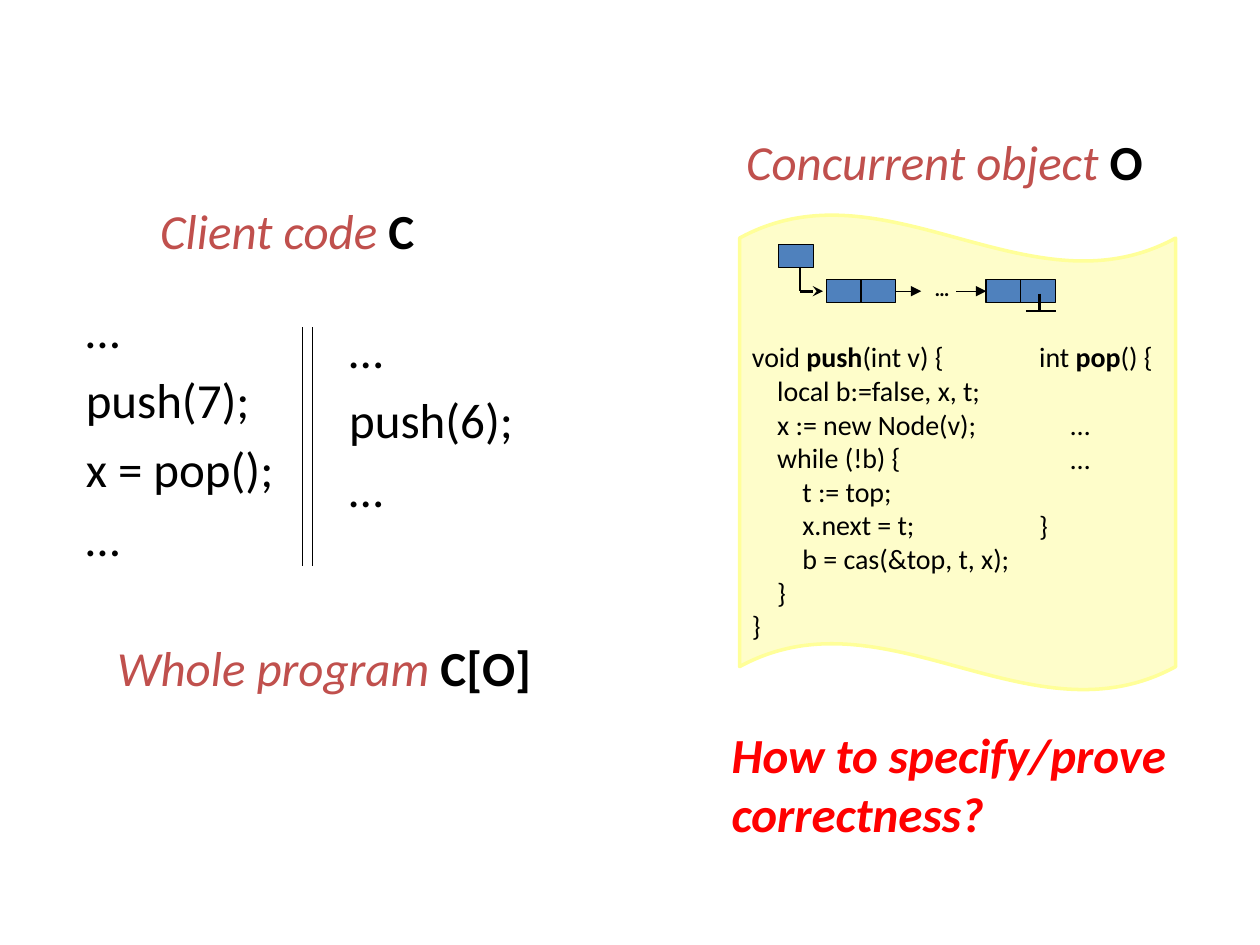
from dataclasses import dataclass

from lxml import etree
from pptx import Presentation
from pptx.dml.color import RGBColor
from pptx.enum.shapes import MSO_CONNECTOR, MSO_SHAPE
from pptx.enum.text import MSO_ANCHOR
from pptx.oxml.ns import qn
from pptx.util import Cm, Pt

RECT, WAVE = MSO_SHAPE.RECTANGLE, MSO_SHAPE.WAVE
STRAIGHT = MSO_CONNECTOR.STRAIGHT
TOP, MIDDLE = MSO_ANCHOR.TOP, MSO_ANCHOR.MIDDLE


@dataclass(frozen=True)
class Theme:
    font: str = "Calibri"
    ink: str = "000000"
    label: str = "C0504D"
    alert: str = "FF0000"
    paper: str = "FEFDCA"
    edge: str = "FFFF99"
    node: str = "4F81BD"
    large: int = 28
    code: int = 16
    small: int = 12


THEME = Theme()
CELL_W, CELL_H = 0.7, 0.46
LIST_Y = 5.64
MID_Y = LIST_Y + CELL_H / 2
CODE_LINE = 19.5

PUSH = [
    ["void ", "*push", "(int v) {"],
    ["    local b:=false, x, t;"],
    ["    x := new Node(v);"],
    ["    while (!b) {"],
    ["        t := top;"],
    ["        x.next = t;"],
    ["        b = cas(&top, t, x);"],
    ["    }"],
    ["}"],
]
POP = [["int ", "*pop", "() {"], ["     …"], ["     …"], ["}"]]


def style(run, size, color, bold=False, italic=False):
    font = run.font
    font.name, font.size = THEME.font, Pt(size)
    font.bold, font.italic = bold, italic
    font.color.rgb = RGBColor.from_string(color)


def add_box(slide, x, y, w, h, wrap=True):
    box = slide.shapes.add_textbox(Cm(x), Cm(y), Cm(w), Cm(h))
    box.text_frame.word_wrap = wrap
    return box.text_frame


def add_label(slide, x, y, w, h, words, name, anchor=MIDDLE, indent=0.08):
    """Put a red italic caption before the bold name of a program part."""
    frame = add_box(slide, x, y, w, h)
    frame.vertical_anchor = anchor
    if anchor == MIDDLE:
        frame.margin_top = 0
    para = frame.paragraphs[0]
    para._p.get_or_add_pPr().set("marL", str(Cm(indent)))
    para.text = words + " "
    style(para.runs[0], THEME.large, THEME.label, italic=True)
    run = para.add_run()
    run.text = name
    style(run, THEME.large, THEME.ink, bold=True)


def add_thread(slide, x, y, w, h, lines):
    frame = add_box(slide, x, y, w, h, wrap=False)
    frame.text = "\n".join(lines)
    for i, para in enumerate(frame.paragraphs):
        para._p.get_or_add_pPr().set("marL", str(Cm(0.08)))
        if i:
            para.space_before = Pt(6)
        style(para.runs[0], THEME.large, THEME.ink)


def add_code(slide, x, y, w, h, lines, gaps=()):
    """Set code lines; a part led by * is bold, a line in gaps skips a row."""
    frame = add_box(slide, x, y, w, h, wrap=False)
    for i, parts in enumerate(lines):
        para = frame.add_paragraph() if i else frame.paragraphs[0]
        if i in gaps:
            para.space_before = Pt(CODE_LINE)
        for part in parts:
            run = para.add_run()
            run.text = part.lstrip("*")
            style(run, THEME.code, THEME.ink, bold=part.startswith("*"))


def add_note(slide, x, y, w, h, text, size, color, italic=False):
    frame = add_box(slide, x, y, w, h)
    frame.text = text
    style(frame.paragraphs[0].runs[0], size, color, True, italic)


def add_shape(slide, kind, x, y, w, h, fill, edge, width):
    shape = slide.shapes.add_shape(kind, Cm(x), Cm(y), Cm(w), Cm(h))
    shape.shadow.inherit = False
    shape.fill.solid()
    shape.fill.fore_color.rgb = RGBColor.from_string(fill)
    shape.line.color.rgb = RGBColor.from_string(edge)
    shape.line.width = Pt(width)
    return shape


def add_line(slide, x1, y1, x2, y2, width=0.75, head=None):
    line = slide.shapes.add_connector(STRAIGHT, Cm(x1), Cm(y1), Cm(x2), Cm(y2))
    line.line.color.rgb = RGBColor.from_string(THEME.ink)
    line.line.width = Pt(width)
    if head:
        etree.SubElement(line.line._get_or_add_ln(), qn("a:tailEnd"), type=head)
    etree.SubElement(line._element.spPr, qn("a:effectLst"))


def add_list(slide):
    """Draw the linked list: top pointer, first node, dots, last node."""
    spots = [(15.7, 4.93)]
    for left in (16.66, 19.88):
        spots += [(left, LIST_Y), (left + CELL_W, LIST_Y)]
    for x, y in spots:
        add_shape(slide, RECT, x, y, CELL_W, CELL_H, THEME.node, THEME.ink, 0.75)
    for x1, x2 in ((18.06, 18.57), (19.28, 19.88)):
        add_line(slide, x1, MID_Y, x2, MID_Y, head="triangle")
    add_note(slide, 18.59, 5.44, 0.66, 0.76, "…", THEME.small, THEME.ink)
    add_line(slide, 20.96, 5.92, 20.96, 6.27, 1.5)
    add_line(slide, 20.68, 6.27, 21.28, 6.27, 1.5)
    add_line(slide, 16.13, 5.38, 16.13, MID_Y, 1.5)
    add_line(slide, 16.13, MID_Y, 16.59, MID_Y, 1.5, "stealth")


def main():
    deck = Presentation()
    deck.slide_width, deck.slide_height = Cm(25.4), Cm(19.05)
    slide = deck.slides.add_slide(deck.slide_layouts[6])

    add_label(slide, 2.11, 12.73, 8.89, 1.68, "Whole program", "C[O]", TOP, 0)
    for x in (6.1, 6.3):
        add_line(slide, x, 6.6, x, 11.4)
    add_thread(slide, 1.4, 5.92, 4.42, 5.69, ["…", "push(7);", "x = pop();", "…"])
    add_thread(slide, 6.71, 6.32, 3.94, 4.27, ["…", "push(6);", "…"])
    add_label(slide, 2.9, 4.11, 5.99, 1.19, "Client code", "C")
    add_label(slide, 14.71, 2.72, 8.79, 1.19, "Concurrent object", "O")

    sheet = add_shape(slide, WAVE, 14.91, 4.32, 8.79, 9.6, THEME.paper, THEME.edge, 2)
    sheet.adjustments[0] = 0.05
    add_code(slide, 14.91, 6.73, 5.7, 6.4, PUSH)
    add_list(slide)
    add_code(slide, 20.7, 6.73, 2.95, 4.37, POP, gaps=(1, 3))
    add_note(slide, 14.5, 14.48, 9.6, 2.64, "How to specify/prove correctness?",
             THEME.large, THEME.alert, italic=True)
    deck.save("out.pptx")


if __name__ == "__main__":
    main()
